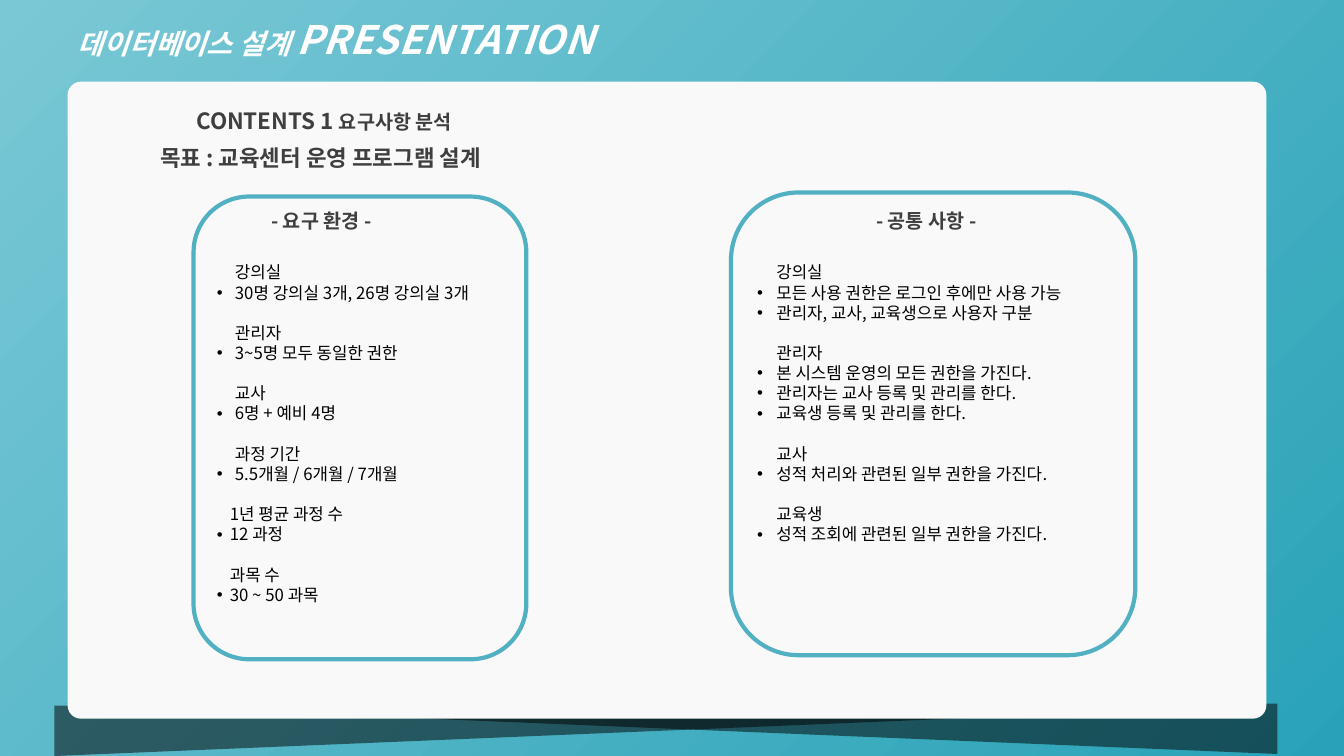
from lxml.etree import SubElement
from pptx import Presentation
from pptx.dml.color import RGBColor
from pptx.enum.shapes import MSO_SHAPE
from pptx.enum.text import MSO_ANCHOR, MSO_AUTO_SIZE, PP_ALIGN
from pptx.oxml.ns import qn
from pptx.util import Inches, Pt

FONT = "Noto Sans CJK KR"
WHITE, GRAY, BLACK, TEAL, PAPER = "FFFFFF", "3F3F3F", "000000", "51B0C2", "F9F9F9"
GRADIENT = ["7AC8D5", "29A2B7"]
TITLE = [("데이터베이스 설계 ", 20), ("PRESENTATION", 28)]
HEADINGS = [
    ((0.81, 0.86, 4.81, 0.5), [("CONTENTS 1 ", 16), ("요구사항 분석", 14)]),
    ((0.8, 1.23, 4.81, 0.45), [("목표 : 교육센터 운영 프로그램 설계 ", 16)]),
]
PANELS = [
    {
        "heading": "- 요구 환경 -",
        "heading_indent": 0.54,
        "text_area": (2.05, 2.01, 3.12, 4.98),
        "frame": (1.92, 1.95, 3.3, 4.59),
        "groups": [
            ("강의실", 0.18, ["30명 강의실 3개, 26명 강의실 3개"]),
            ("관리자", 0.18, ["3~5명 모두 동일한 권한"]),
            ("교사", 0.18, ["6명 + 예비 4명"]),
            ("과정 기간", 0.18, ["5.5개월 / 6개월 / 7개월"]),
            ("1년 평균 과정 수", 0.13, ["12 과정"]),
            ("과목 수", 0.13, ["30 ~ 50 과목"]),
        ],
    },
    {
        "heading": "- 공통 사항 -",
        "heading_indent": 1.18,
        "text_area": (7.41, 2.01, 4.06, 4.68),
        "frame": (7.25, 1.91, 4.01, 4.59),
        "groups": [
            ("강의실", 0.19, ["모든 사용 권한은 로그인 후에만 사용 가능",
                           "관리자, 교사, 교육생으로 사용자 구분"]),
            ("관리자", 0.19, ["본 시스템 운영의 모든 권한을 가진다.",
                           "관리자는 교사 등록 및 관리를 한다.",
                           "교육생 등록 및 관리를 한다."]),
            ("교사", 0.19, ["성적 처리와 관련된 일부 권한을 가진다."]),
            ("교육생", 0.19, ["성적 조회에 관련된 일부 권한을 가진다."]),
        ],
    },
]


def color(value):
    return RGBColor.from_string(value)


def add_shape(slide, kind, area, fill=None, line=None, corner=None):
    shape = slide.shapes.add_shape(kind, *map(Inches, area))
    shape.shadow.inherit = False
    if fill:
        shape.fill.solid()
        shape.fill.fore_color.rgb = color(fill)
    else:
        shape.fill.background()
    if line:
        shape.line.color.rgb = color(line)
        shape.line.width = Pt(3)
    else:
        shape.line.fill.background()
    if corner:
        shape.adjustments[0] = corner
    return shape


def add_shadow_triangle(slide, area, flipped):
    triangle = add_shape(slide, MSO_SHAPE.RIGHT_TRIANGLE, area, BLACK)
    triangle.rotation = 180
    if flipped:
        triangle.element.spPr.find(qn("a:xfrm")).set("flipH", "1")
    fill_color = triangle.element.spPr.find(qn("a:solidFill"))[0]
    SubElement(fill_color, qn("a:alpha")).set("val", "51000")


def prepare_text(shape, area):
    shape.left, shape.top, shape.width, shape.height = map(Inches, area)
    frame = shape.text_frame
    settings = {
        "word_wrap": True, "auto_size": MSO_AUTO_SIZE.NONE,
        "vertical_anchor": MSO_ANCHOR.TOP,
        "margin_left": Inches(0.1), "margin_right": Inches(0.1),
        "margin_top": Inches(0.05), "margin_bottom": Inches(0.05),
    }
    for name, value in settings.items():
        setattr(frame, name, value)
    return frame


def write(paragraph, runs, text_color, line, before=0, after=0,
          align=PP_ALIGN.LEFT, bold=True, italic=False):
    settings = {"alignment": align, "line_spacing": Pt(line),
                "space_before": Pt(before), "space_after": Pt(after)}
    for name, value in settings.items():
        setattr(paragraph, name, value)
    for text, size in runs:
        run = paragraph.add_run()
        run.text = text
        run.font.color.rgb = color(text_color)
        style = {"name": FONT, "size": Pt(size), "bold": bold, "italic": italic}
        for name, value in style.items():
            setattr(run.font, name, value)
        SubElement(run.font._element, qn("a:ea")).set("typeface", FONT)


def set_indent(paragraph, indent, bullet=False):
    properties = paragraph._p.get_or_add_pPr()
    properties.set("marL", str(Inches(indent)))
    properties.set("indent", str(-Inches(indent) if bullet else 0))
    if bullet:
        SubElement(properties, qn("a:buFont")).set("typeface", "Arial")
        SubElement(properties, qn("a:buChar")).set("char", "•")
    else:
        SubElement(properties, qn("a:buNone"))


def fill_panel(slide, body, panel):
    body.element.getparent().append(body.element)
    frame = prepare_text(body, panel["text_area"])
    heading = frame.paragraphs[0]
    write(heading, [(panel["heading"], 14)], GRAY, 17.5, after=21.4)
    set_indent(heading, panel["heading_indent"])
    for number, (name, indent, items) in enumerate(panel["groups"]):
        for row, text in enumerate([name] + items):
            paragraph = frame.add_paragraph()
            gap = 14.4 if number and row == 0 else 0
            write(paragraph, [(text, 12)], BLACK, 14.4, before=gap, bold=False)
            set_indent(paragraph, indent, bullet=row > 0)
    add_shape(slide, MSO_SHAPE.ROUNDED_RECTANGLE, panel["frame"], line=TEAL, corner=0.167)


def main():
    presentation = Presentation()
    presentation.slide_width, presentation.slide_height = Inches(13.33), Inches(7.5)
    slide = presentation.slides.add_slide(presentation.slide_layouts[3])
    title, *bodies = slide.placeholders

    background = slide.background.fill
    background.gradient()
    background.gradient_angle = 315
    for stop, value in zip(background.gradient_stops, GRADIENT):
        stop.color.rgb = color(value)

    add_shadow_triangle(slide, (0.65, 6.98, 12.02, 0.5), False)
    add_shadow_triangle(slide, (0.54, 7, 12.02, 0.5), True)
    add_shape(slide, MSO_SHAPE.ROUNDED_RECTANGLE, (0.67, 0.81, 11.89, 6.32), PAPER, corner=0.021)

    title.element.getparent().append(title.element)
    frame = prepare_text(title, (0.67, 0.08, 7.52, 0.57))
    write(frame.paragraphs[0], TITLE, WHITE, 35, italic=True)

    for area, runs in HEADINGS:
        frame = prepare_text(slide.shapes.add_textbox(0, 0, 0, 0), area)
        write(frame.paragraphs[0], runs, GRAY, 30, align=PP_ALIGN.CENTER)

    for body, panel in zip(bodies, PANELS):
        fill_panel(slide, body, panel)

    presentation.save("out.pptx")


if __name__ == "__main__":
    main()
